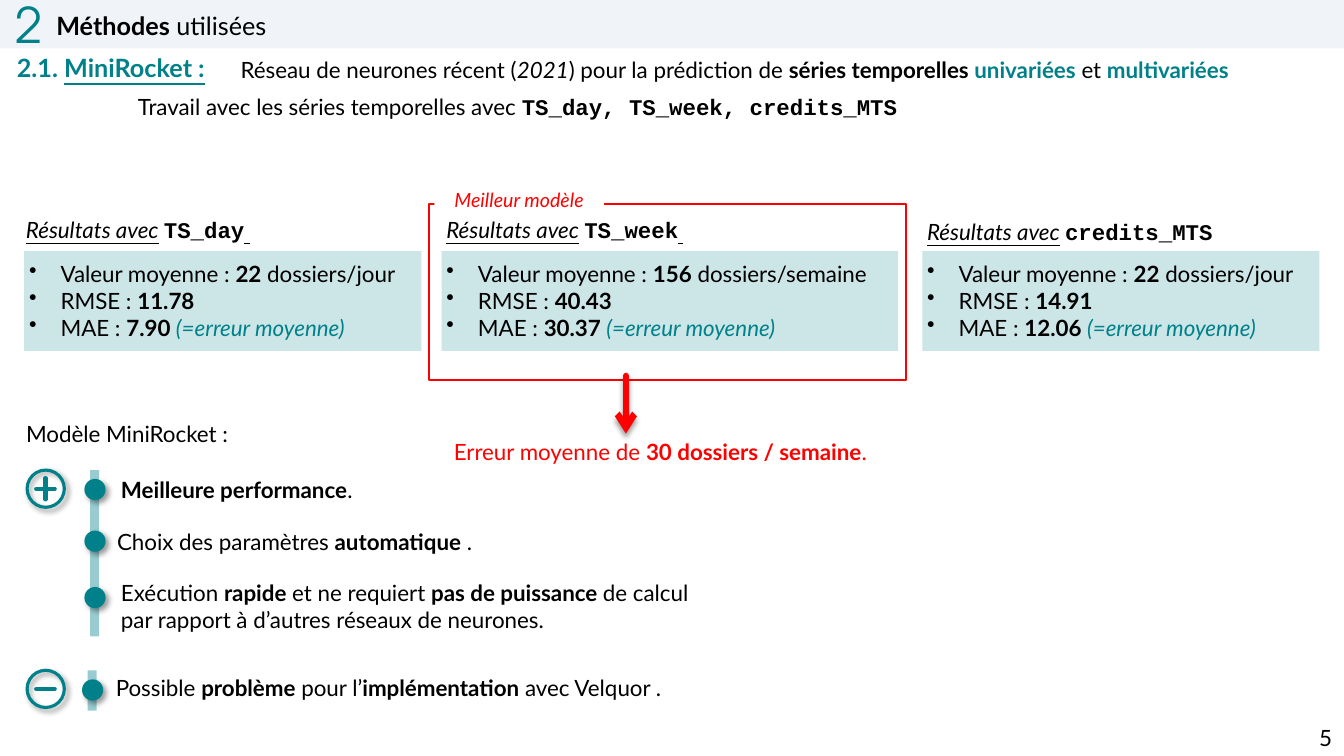
from pptx import Presentation
from pptx.dml.color import RGBColor
from pptx.enum.shapes import MSO_CONNECTOR, MSO_SHAPE as SHAPE
from pptx.enum.text import PP_ALIGN as ALIGN
from pptx.oxml import parse_xml
from pptx.oxml.ns import nsdecls, qn
from pptx.util import Pt
from lxml.etree import SubElement

TEAL = RGBColor(0x00, 0x81, 0x8A)
BAND = RGBColor(0xDB, 0xE1, 0xED)
RED = RGBColor(0xFF, 0x00, 0x00)
BLACK = RGBColor(0x00, 0x00, 0x00)
WHITE = RGBColor(0xFF, 0xFF, 0xFF)
BODY, MONO, DISPLAY = "Lato", "Courier New", "TeX Gyre Adventor"


def add_shadow(shape, angle):
    props = shape._element.spPr
    for effects in props.findall(qn("a:effectLst")):
        props.remove(effects)
    props.append(parse_xml(
        f'<a:effectLst {nsdecls("a")}><a:outerShdw blurRad="{Pt(4)}" dist="{Pt(3)}" '
        f'dir="{angle * 60000}" algn="ctr" rotWithShape="0"><a:srgbClr val="000000">'
        '<a:alpha val="40000"/></a:srgbClr></a:outerShdw></a:effectLst>'))


def add_figure(slide, kind, box, fill=None, opacity=100, line=None, weight=0):
    figure = slide.shapes.add_shape(kind, *map(Pt, box))
    figure.shadow.inherit = False
    if fill is None:
        figure.fill.background()
    else:
        figure.fill.solid()
        figure.fill.fore_color.rgb = fill
    if opacity < 100:
        color = figure._element.spPr.find(qn("a:solidFill"))[0]
        SubElement(color, qn("a:alpha")).set("val", str(opacity * 1000))
    if line is None:
        figure.line.fill.background()
    else:
        figure.line.color.rgb = line
        figure.line.width = Pt(weight)
    return figure


def add_stroke(slide, start, end, color, weight):
    """Draw a round-capped line without shadow."""
    stroke = slide.shapes.add_connector(MSO_CONNECTOR.STRAIGHT, *map(Pt, start + end))
    stroke.line.color.rgb = color
    stroke.line.width = Pt(weight)
    stroke.line._get_or_add_ln().set("cap", "rnd")
    SubElement(stroke._element.spPr, qn("a:effectLst"))
    return stroke


def write(paragraph, runs, size=16, color=BLACK, font=BODY, align=ALIGN.LEFT):
    """Write (text, marks) runs: b bold, i italic, u underline, t teal, m monospaced."""
    paragraph.alignment = align
    paragraph.font.size = Pt(size)
    paragraph.font.name = font
    paragraph.font.color.rgb = color
    for words, marks in runs:
        run = paragraph.add_run()
        run.text = words
        if "b" in marks:
            run.font.bold = True
        if "i" in marks:
            run.font.italic = True
        if "u" in marks:
            run.font.underline = True
        if "t" in marks:
            run.font.color.rgb = TEAL
        if "m" in marks:
            run.font.name = MONO


def add_text(slide, box, runs, **style):
    frame = slide.shapes.add_textbox(*map(Pt, box)).text_frame
    frame.word_wrap = True
    write(frame.paragraphs[0], runs, **style)


def add_bullets(slide, box, items):
    frame = slide.shapes.add_textbox(*map(Pt, box)).text_frame
    frame.word_wrap = True
    for index, runs in enumerate(items):
        paragraph = frame.add_paragraph() if index else frame.paragraphs[0]
        write(paragraph, runs)
        props = paragraph._p.get_or_add_pPr()
        props.set("marL", str(Pt(22.5)))
        props.set("indent", str(-Pt(22.5)))
        bullet = parse_xml(f'<a:buChar {nsdecls("a")} char="•"/>')
        props.find(qn("a:defRPr")).addprevious(bullet)


def build_header(slide, left, top, width, height):
    add_figure(slide, SHAPE.RECTANGLE, (left, top, width, height), BAND, 40)
    add_text(slide, (left + 4.3, top - 5.8, 82, 50), [("2", "")],
             size=35, color=TEAL, font=DISPLAY)
    add_text(slide, (left + 33.1, top + 5, 519, 29),
             [("Méthodes", "b"), (" utilisées", "")], size=18)


def build_intro(slide, left, top):
    add_text(slide, (left, top, 753, 29), [("2.1. ", "b"), ("MiniRocket :", "bu")],
             size=18, color=TEAL)
    add_text(slide, (left + 159.8, top + 2.9, 799, 27), [
        ("Réseau de neurones récent (", ""), ("2021", "i"), (") pour la prédiction de ", ""),
        ("séries temporelles ", "b"), ("univariées", "bt"), (" et ", ""),
        ("multivariées", "bt")])
    add_text(slide, (left + 86.4, top + 29.5, 590, 27), [
        ("Travail avec les séries temporelles avec ", ""),
        ("TS_day, TS_week, credits_MTS", "bm")])


def build_result(slide, left, top, width, height, heading_shift, series, tail,
                 mean, unit, rmse, mae):
    shift_x, shift_y = heading_shift
    add_text(slide, (left - 3.6 + shift_x, top - 28.8 + shift_y, width, 27), [
        ("Résultats avec", "iu"), (" ", "i"), (series, "bm"), (tail, "iu")])
    add_figure(slide, SHAPE.RECTANGLE, (left, top, width, height), TEAL, 20)
    add_bullets(slide, (left - 3.6, top + 2.9, width + 20, 65.5), [
        [("Valeur moyenne : ", ""), (mean, "b"), (f" dossiers/{unit}", "")],
        [("RMSE : ", ""), (rmse, "b")],
        [("MAE : ", ""), (f"{mae} ", "b"), ("(=erreur moyenne)", "it")]])


def build_best_model(slide, left, top, width, height):
    add_figure(slide, SHAPE.RECTANGLE, (left, top, width, height), line=RED, weight=1.5)
    label = add_figure(slide, SHAPE.RECTANGLE, (left + 3.6, top - 15.1, 121, 24.5), WHITE)
    write(label.text_frame.paragraphs[0], [("Meilleur modèle", "i")],
          size=14, color=RED, align=ALIGN.CENTER)
    bottom = top + height
    add_text(slide, (left, bottom + 38.2, 334, 27), [
        ("Erreur moyenne de ", ""), ("30 dossiers / semaine", "b"), (". ", "")],
        color=RED, align=ALIGN.CENTER)
    arrow_x = left + 140.4
    arrow = add_stroke(slide, (arrow_x, bottom - 3), (arrow_x, bottom + 38.2), RED, 4.5)
    SubElement(arrow.line._get_or_add_ln(), qn("a:tailEnd")).set("type", "arrow")
    add_shadow(arrow, 90)


def build_points(slide, left, top, height, rail_shift, positive, points):
    """Place a plus or minus sign, a rail, and one dot with text per point."""
    sign = add_figure(slide, SHAPE.OVAL, (left, top, 26.6, 26.6), line=TEAL, weight=2.25)
    add_shadow(sign, 45)
    x, y, arm = left + 13.1, top + 13.3, 6.6
    add_stroke(slide, (x - arm, y), (x + arm, y), TEAL, 3)
    if positive:
        add_stroke(slide, (x, y - arm - 1), (x, y + arm + 1), TEAL, 3)
    rail = left + rail_shift
    add_figure(slide, SHAPE.RECTANGLE, (rail, top, 6.5, height), TEAL, 40)
    for dot_y, text_x, text_y, runs in points:
        dot = add_figure(slide, SHAPE.OVAL, (rail - 4, top + dot_y, 15.1, 15.1), TEAL)
        add_shadow(dot, 45)
        add_text(slide, (rail + text_x, top + text_y, 428, 27), runs)


def build_review(slide, left, top):
    add_text(slide, (left, top, 170, 27), [("Modèle MiniRocket :", "")])
    build_points(slide, left + 7.9, top + 39.2, 118.8, 44.9, True, [
        (6.3, 15, 1, [("Meilleure performance", "b"), (".", "")]),
        (43.2, 12.2, 37.8, [("Choix des paramètres ", ""), ("automatique", "b"), (" .", "")]),
        (83.5, 15, 74.5, [
            ("Exécution ", ""), ("rapide", "b"), (" et ne requiert ", ""),
            ("pas de puissance ", "b"),
            ("de calcul par rapport à d’autres réseaux de neurones.", "")])])
    build_points(slide, left + 7.9, top + 182.2, 28.8, 43.2, False, [
        (6.5, 13, -0.7, [
            ("Possible ", ""), ("problème", "b"), (" pour l’", ""),
            ("implémentation", "b"), (" avec Velquor .", "")])])


def main():
    deck = Presentation()
    deck.slide_width, deck.slide_height = Pt(960), Pt(540)
    slide = deck.slides.add_slide(deck.slide_layouts[6])
    build_header(slide, 0, -1.4, 960, 36)
    build_intro(slide, 5, 33.8)
    results = [
        (17.3, 283.7, (-2.2, 0), "TS_day", " ", "22", "jour", "11.78", "7.90"),
        (315.4, 326.2, (0, 0), "TS_week", " ", "156", "semaine", "40.43", "30.37"),
        (658.8, 283.7, (0, 1.4), "credits_MTS", "", "22", "jour", "14.91", "12.06")]
    for left, width, *content in results:
        build_result(slide, left, 179.3, width, 71.3, *content)
    build_best_model(slide, 306.7, 145.5, 340.6, 126)
    build_review(slide, 11.5, 296.6)
    add_text(slide, (926.6, 513.4, 32, 27), [("5", "")], align=ALIGN.RIGHT)
    deck.save("out.pptx")


if __name__ == "__main__":
    main()
